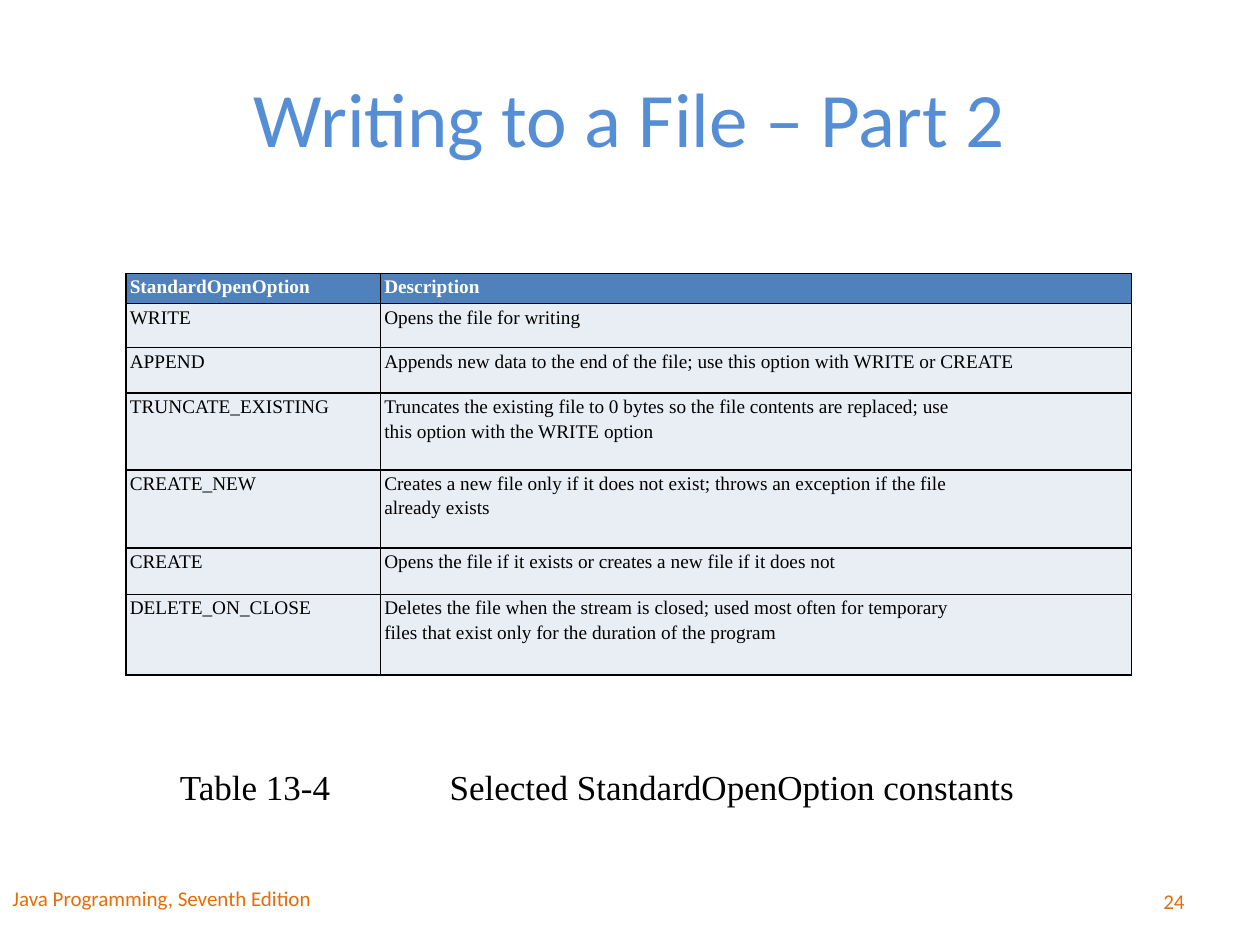
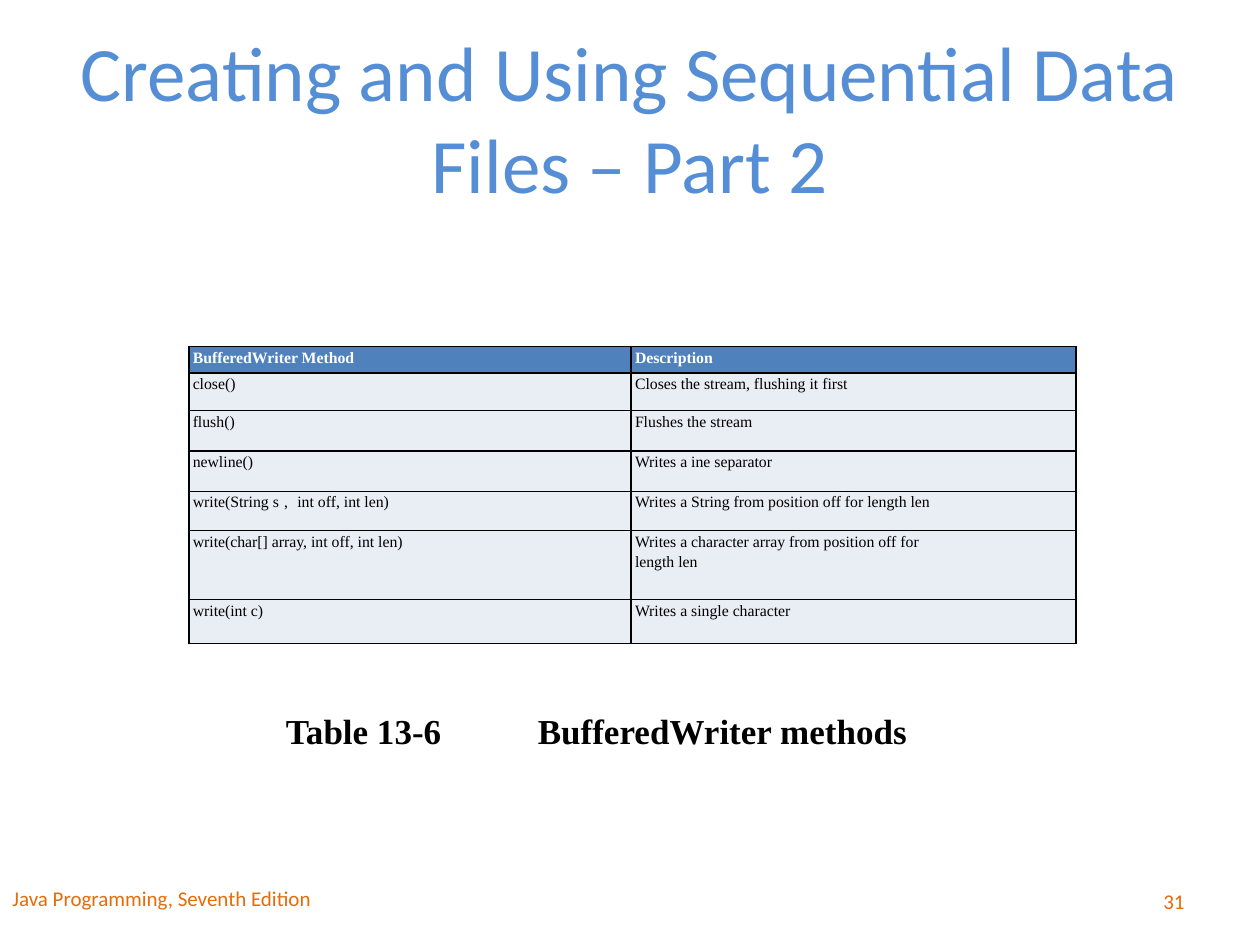
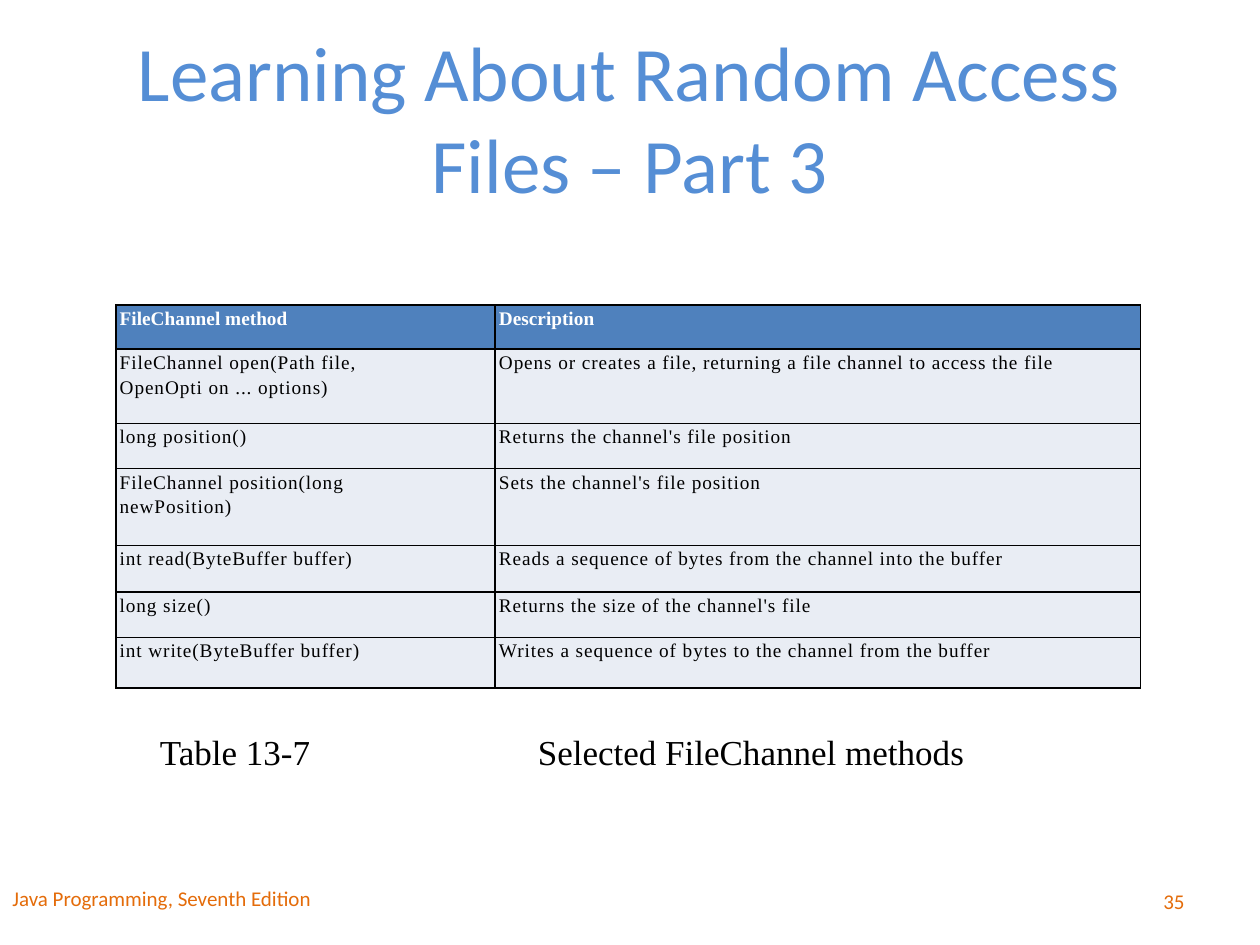
from lxml import etree
from pptx import Presentation, util as u
from pptx.dml.color import RGBColor
from pptx.enum import text
from pptx.oxml.ns import qn

COLORS = {"title": "558ED5", "footer": "E46C0A", "ink": "000000",
          "header_fill": "4F81BD", "header_text": "FFFFFF", "body_fill": "E9EDF4"}
SANS, SERIF = "Calibri", "Times New Roman"
ALIGN, ANCHOR = text.PP_ALIGN, text.MSO_ANCHOR

SPLIT_RUNS = {"write(String s, int off, int len)":
              [("write(String ", 0), ("s,", 3), (" int off, int len)", 0)]}

SLIDES = [
    {"title": "Writing to a File – Part 2", "number": "24",
     "at": (1, 2.17), "size": 11, "tracking": 0,
     "cols": (2.02, 5.96), "heights": (0.24, 0.35, 0.36, 0.61, 0.62, 0.37, 0.64),
     "rows": [
         ("StandardOpenOption", "Description"),
         ("WRITE", "Opens the file for writing"),
         ("APPEND", "Appends new data to the end of the file; use this option with WRITE or CREATE"),
         ("TRUNCATE_EXISTING", "Truncates the existing file to 0 bytes so the file contents are replaced; use\n"
                               "this option with the WRITE option"),
         ("CREATE_NEW", "Creates a new file only if it does not exist; throws an exception if the file\n"
                        "already exists"),
         ("CREATE", "Opens the file if it exists or creates a new file if it does not"),
         ("DELETE_ON_CLOSE", "Deletes the file when the stream is closed; used most often for temporary\n"
                             "files that exist only for the duration of the program")],
     "caption": "Table 13-4\tSelected StandardOpenOption constants",
     "caption_at": (1.33, 6.03, 6.83, 0.44), "tab": 2.14, "bold": False},
    {"title": "Creating and Using Sequential Data Files – Part 2", "number": "31",
     "at": (1.5, 2.75), "size": 9, "tracking": 0,
     "cols": (3.51, 3.53), "heights": (0.21, 0.3, 0.32, 0.32, 0.31, 0.55, 0.35),
     "rows": [
         ("BufferedWriter Method", "Description"),
         ("close()", "Closes the stream, flushing it first"),
         ("flush()", "Flushes the stream"),
         ("newline()", "Writes a ine separator"),
         ("write(String s, int off, int len)", "Writes a String from position off for length len"),
         ("write(char[] array, int off, int len)", "Writes a character array from position off for\nlength len"),
         ("write(int c)", "Writes a single character")],
     "caption": "Table 13-6\tBufferedWriter methods",
     "caption_at": (2.17, 5.58, 5.25, 0.44), "tab": 2, "bold": True},
    {"title": "Learning About Random Access Files – Part 3", "number": "35",
     "at": (0.92, 2.42), "size": 11, "tracking": 0.5,
     "cols": (3.01, 5.12), "heights": (0.35, 0.59, 0.36, 0.61, 0.37, 0.36, 0.4),
     "rows": [
         ("FileChannel method", "Description"),
         ("FileChannel open(Path file,\nOpenOpti on ... options)",
          "Opens or creates a file, returning a file channel to access the file"),
         ("long position()", "Returns the channel's file position"),
         ("FileChannel position(long\nnewPosition)", "Sets the channel's file position"),
         ("int read(ByteBuffer buffer)", "Reads a sequence of bytes from the channel into the buffer"),
         ("long size()", "Returns the size of the channel's file"),
         ("int write(ByteBuffer buffer)", "Writes a sequence of bytes to the channel from the buffer")],
     "caption": "Table 13-7\tSelected FileChannel methods",
     "caption_at": (1.17, 5.75, 7.08, 0.44), "tab": 3, "bold": False},
]


def add_run(paragraph, words, font, size, color, bold=False, tracking=0):
    run = paragraph.add_run()
    run.text = words
    run.font.name, run.font.size, run.font.bold = font, u.Pt(size), bold
    run.font.color.rgb = RGBColor.from_string(COLORS[color])
    if tracking:
        run.font._element.set("spc", str(int(tracking * 100)))


def add_label(slide, at, anchor, align):
    frame = slide.shapes.add_textbox(*map(u.Inches, at)).text_frame
    frame.word_wrap = True
    frame.vertical_anchor = anchor
    frame.paragraphs[0].alignment = align
    return frame.paragraphs[0]


deck = Presentation()
deck.slide_width, deck.slide_height = u.Inches(10), u.Inches(7.5)

for content in SLIDES:
    slide = deck.slides.add_slide(deck.slide_layouts[6])

    title = add_label(slide, (0.5, 0.3, 9, 1.25), ANCHOR.MIDDLE, ALIGN.CENTER)
    add_run(title, content["title"], SANS, 44, "title")

    left, top = content["at"]
    widths, heights = content["cols"], content["heights"]
    methods = slide.shapes.add_table(
        len(heights), len(widths), u.Inches(left), u.Inches(top),
        u.Inches(sum(widths)), u.Inches(sum(heights))).table
    methods.horz_banding = False
    for column, width in zip(methods.columns, widths):
        column.width = u.Inches(width)
    for r, (height, entries) in enumerate(zip(heights, content["rows"])):
        methods.rows[r].height = u.Inches(height)
        header = r == 0
        for c, entry in enumerate(entries):
            cell = methods.cell(r, c)
            cell.margin_left = cell.margin_right = u.Inches(0.03)
            cell.margin_top = cell.margin_bottom = 0
            for side in ("lnL", "lnR", "lnT", "lnB"):
                border = etree.SubElement(cell._tc.get_or_add_tcPr(), qn("a:" + side), w=str(u.Pt(1)))
                paint = etree.SubElement(border, qn("a:solidFill"))
                etree.SubElement(paint, qn("a:srgbClr"), val=COLORS["ink"])
            cell.fill.solid()
            cell.fill.fore_color.rgb = RGBColor.from_string(COLORS["header_fill" if header else "body_fill"])
            for i, line in enumerate(entry.split("\n")):
                frame = cell.text_frame
                paragraph = frame.add_paragraph() if i else frame.paragraphs[0]
                paragraph.line_spacing = 1.15
                tracking = 0 if header else content["tracking"]
                for words, spread in SPLIT_RUNS.get(line, [(line, tracking)]):
                    add_run(paragraph, words, SERIF, content["size"],
                            "header_text" if header else "ink", header, spread)

    caption = add_label(slide, content["caption_at"], ANCHOR.TOP, ALIGN.LEFT)
    tabs = etree.SubElement(caption._p.get_or_add_pPr(), qn("a:tabLst"))
    etree.SubElement(tabs, qn("a:tab"), pos=str(u.Inches(content["tab"])), algn="l")
    add_run(caption, content["caption"], SERIF, 20, "ink", content["bold"])

    number = add_label(slide, (7.17, 6.95, 2.33, 0.4), ANCHOR.MIDDLE, ALIGN.RIGHT)
    add_run(number, content["number"], SANS, 12, "footer")
    book = add_label(slide, (0, 6.92, 6.42, 0.42), ANCHOR.MIDDLE, ALIGN.LEFT)
    add_run(book, "Java Programming, Seventh Edition", SANS, 12, "footer")

deck.save("out.pptx")
